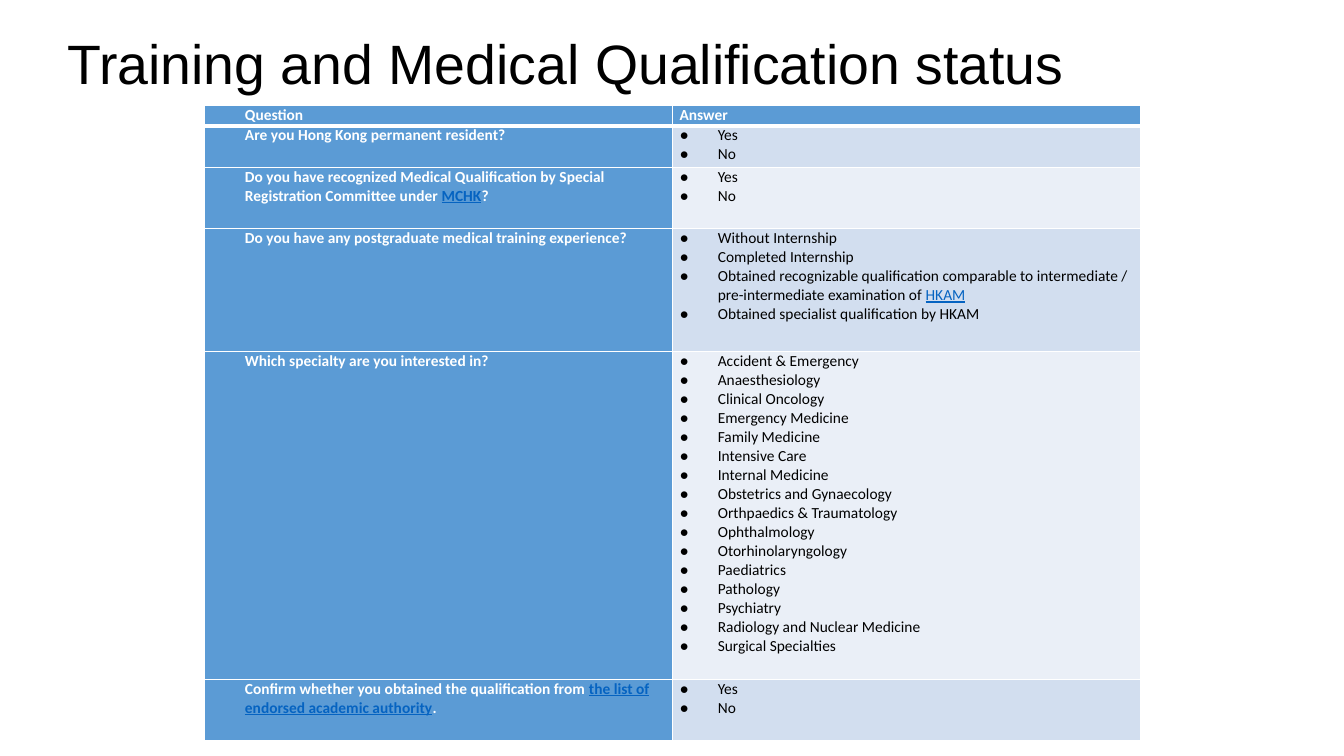
from lxml.etree import SubElement
from pptx import Presentation
from pptx.dml.color import RGBColor
from pptx.enum.text import MSO_ANCHOR
from pptx.oxml.ns import qn
from pptx.util import Inches, Pt

WHITE, BLACK, LINK = "FFFFFF", "000000", "0563C1"
BLUE, BANDS = "5B9BD5", ("D2DEEF", "EAEFF7")
YES_NO = ["Yes", "No"]
SPECIALTIES = [
    "Accident & Emergency", "Anaesthesiology", "Clinical Oncology",
    "Emergency Medicine", "Family Medicine", "Intensive Care",
    "Internal Medicine", "Obstetrics and Gynaecology",
    "Orthpaedics & Traumatology", "Ophthalmology", "Otorhinolaryngology",
    "Paediatrics", "Pathology", "Psychiatry",
    "Radiology and Nuclear Medicine", "Surgical Specialties",
]
TRAINING = [
    "Without Internship", "Completed Internship",
    "Obtained recognizable qualification comparable to intermediate / "
    "pre-intermediate examination of |HKAM|",
    "Obtained specialist qualification by HKAM",
]
# Text between bars is shown in the link style.
QUESTIONS = [
    ("Are you Hong Kong permanent resident?", YES_NO, 0.41),
    ("Do you have recognized Medical Qualification by Special Registration "
     "Committee under |MCHK|?", YES_NO, 0.61),
    ("Do you have any postgraduate medical training experience?", TRAINING, 1.22),
    ("Which specialty are you interested in?", SPECIALTIES, 3.25),
    ("Confirm whether you obtained the qualification from "
     "|the list of endorsed academic authority|.", YES_NO, 0.61),
]
HEADER_HEIGHT = 0.2


def paint(target, color):
    target.rgb = RGBColor.from_string(color)


def format_run(run, size, face, color, bold=False):
    run.font.size = Pt(size)
    run.font.name = face
    run.font.bold = bold
    paint(run.font.color, color)


def add_title(slide, wording):
    title = slide.shapes.add_textbox(Inches(0.57), Inches(0.43), Inches(12.18), Inches(0.47))
    frame = title.text_frame
    frame.word_wrap = True
    frame.vertical_anchor = MSO_ANCHOR.MIDDLE
    frame.text = wording
    frame.paragraphs[0].line_spacing = 0.9
    format_run(frame.paragraphs[0].runs[0], 39.6, "Arial", BLACK)


def set_borders(cell, top, bottom):
    properties = cell._tc.get_or_add_tcPr()
    for side, width in (("L", 1), ("R", 1), ("T", top), ("B", bottom)):
        border = SubElement(properties, qn("a:ln" + side), w=str(Pt(width)))
        fill = SubElement(border, qn("a:solidFill"))
        SubElement(fill, qn("a:srgbClr"), val=WHITE)


def set_indent(paragraph, margin, hanging=0, bullet=None):
    properties = paragraph._p.get_or_add_pPr()
    properties.set("marL", str(Inches(margin)))
    properties.set("indent", str(Inches(-hanging)))
    if bullet:
        SubElement(properties, qn("a:buFont"), typeface="Arial")
        SubElement(properties, qn("a:buChar"), char=bullet)


def add_wording(paragraph, wording, color, bold):
    for position, part in enumerate(wording.split("|")):
        if part:
            linked = position % 2 == 1
            run = paragraph.add_run()
            run.text = part
            format_run(run, 11, "Calibri", LINK if linked else color, bold)
            run.font.underline = linked


def fill_cell(cell, lines, background, color, bold, indent, top=1, bottom=1):
    cell.margin_left = cell.margin_right = Inches(0.07)
    cell.margin_top = cell.margin_bottom = 0
    set_borders(cell, top, bottom)
    cell.fill.solid()
    paint(cell.fill.fore_color, background)
    frame = cell.text_frame
    for number, wording in enumerate(lines):
        paragraph = frame.add_paragraph() if number else frame.paragraphs[0]
        set_indent(paragraph, *indent)
        add_wording(paragraph, wording, color, bold)


def add_questionnaire(slide):
    heights = [HEADER_HEIGHT] + [height for _, _, height in QUESTIONS]
    table = slide.shapes.add_table(
        len(heights), 2, Inches(2.03), Inches(1.05), Inches(9.28), Inches(sum(heights))).table
    for column in table.columns:
        column.width = Inches(4.64)
    for row, height in zip(table.rows, heights):
        row.height = Inches(height)

    for column, (heading, margin) in enumerate((("Question", 0.33), ("Answer", 0))):
        fill_cell(table.cell(0, column), [heading], BLUE, WHITE, True, (margin,), bottom=3)
    for number, (question, answers, _) in enumerate(QUESTIONS):
        top = 1 if number else 3
        fill_cell(table.cell(number + 1, 0), [question], BLUE, WHITE, True, (0.33,), top)
        fill_cell(table.cell(number + 1, 1), answers, BANDS[number % 2], BLACK, False,
                  (0.38, 0.38, "●"), top)


def main():
    presentation = Presentation()
    presentation.slide_width = Inches(13.33)
    presentation.slide_height = Inches(7.5)
    slide = presentation.slides.add_slide(presentation.slide_layouts[6])
    add_questionnaire(slide)
    add_title(slide, "Training and Medical Qualification status")
    presentation.save("out.pptx")


main()
